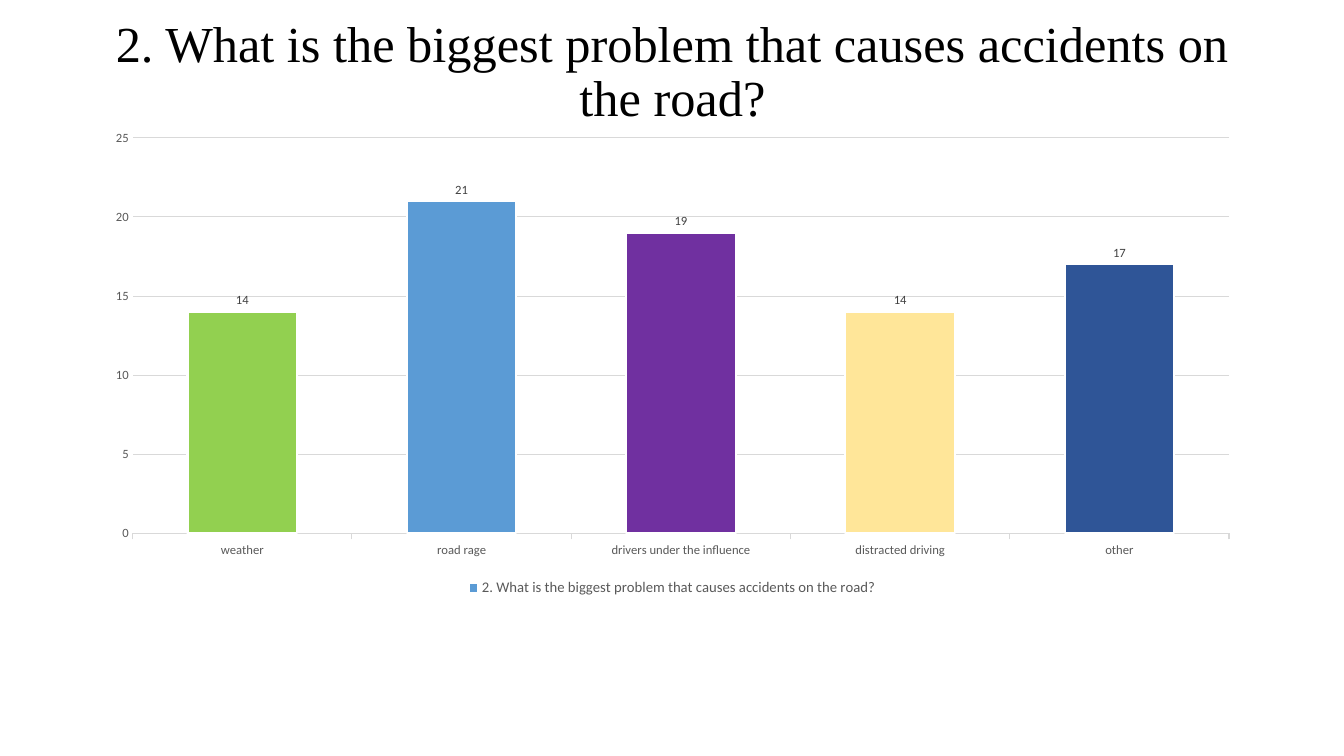
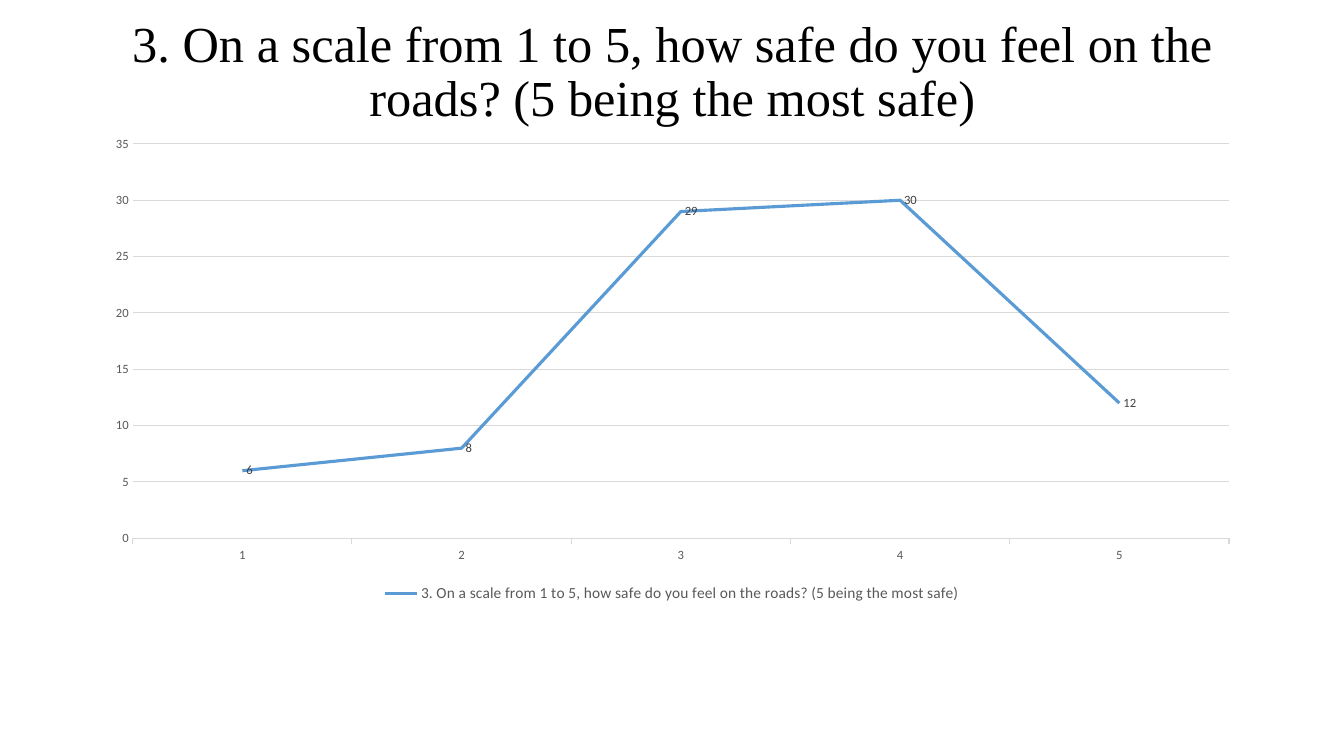
import pptx
import pptx.chart.data
import pptx.dml.color
import pptx.enum.chart
import pptx.enum.text
import pptx.util

Inches = pptx.util.Inches
Pt = pptx.util.Pt
enum = pptx.enum.chart

# Shared look
BLUE, WHITE, BLACK = "5B9BD5", "FFFFFF", "000000"
GRID, GREY, DARK = "D9D9D9", "595959", "404040"
LEFT, WIDTH = 0.92, 11.5

# Wording
CAUSE = "2. What is the biggest problem that causes accidents on the road?"
SAFE = "3. On a scale from 1 to 5, how safe do you feel on the roads? (5 being the most safe)"


def put(item, **vals):
    """Set several attributes of one object."""
    for key, val in vals.items():
        setattr(item, key, val)


def tint(text):
    return pptx.dml.color.RGBColor.from_string(text)


def style(font, size, color, name="Calibri"):
    put(font, size=Pt(size), name=name)
    font.color.rgb = tint(color)


def fill(form, color):
    form.fill.solid()
    form.fill.fore_color.rgb = tint(color)


def stroke(form, color, width):
    form.line.color.rgb = tint(color)
    form.line.width = Pt(width)


def place(left, top, width, height):
    return dict(left=Inches(left), top=Inches(top),
                width=Inches(width), height=Inches(height))


def add_page(deck, text):
    """Add a slide with its centred title."""
    page = deck.slides.add_slide(deck.slide_layouts[5])
    title = page.shapes.title
    put(title, **place(LEFT, 0, WIDTH, 1.45))
    put(title.text_frame, text=text, word_wrap=True,
        auto_size=pptx.enum.text.MSO_AUTO_SIZE.NONE,
        vertical_anchor=pptx.enum.text.MSO_ANCHOR.MIDDLE)
    para = title.text_frame.paragraphs[0]
    put(para, alignment=pptx.enum.text.PP_ALIGN.CENTER, line_spacing=0.9)
    style(para.runs[0].font, 36, BLACK, "Times New Roman")
    return page


def set_axes(chart):
    for axis in (chart.category_axis, chart.value_axis):
        style(axis.tick_labels.font, 9, GREY)
        axis.minor_tick_mark = enum.XL_TICK_MARK.NONE
    base, side = chart.category_axis, chart.value_axis
    put(base, major_tick_mark=enum.XL_TICK_MARK.OUTSIDE,
        has_major_gridlines=False)
    stroke(base.format, GRID, 0.75)
    put(side, major_tick_mark=enum.XL_TICK_MARK.NONE,
        has_major_gridlines=True)
    side.format.line.fill.background()
    stroke(side.major_gridlines.format, GRID, 0.75)


def add_chart(page, kind, top, name, cats, vals, spot, size):
    """Add a chart with one labelled series and a legend below."""
    data = pptx.chart.data.CategoryChartData()
    data.categories = cats
    data.add_series(name, vals)
    box = place(LEFT, top, WIDTH, 4.76)
    frame = page.shapes.add_chart(kind, box["left"], box["top"],
                                  box["width"], box["height"], data)
    chart = frame.chart
    put(chart, has_title=False, has_legend=True)
    style(chart.font, 10, BLACK)
    put(chart.legend, include_in_layout=False,
        position=enum.XL_LEGEND_POSITION.BOTTOM)
    style(chart.legend.font, size, GREY)
    set_axes(chart)
    plot = chart.plots[0]
    plot.vary_by_categories = False
    row = plot.series[0]
    put(row.data_labels, show_value=True, position=spot)
    style(row.data_labels.font, 9, DARK)
    return plot, row


def add_bars(page):
    cats = ["weather", "road rage", "drivers under the influence",
            "distracted driving", "other"]
    plot, row = add_chart(
        page, enum.XL_CHART_TYPE.COLUMN_CLUSTERED, 1.2, CAUSE, cats,
        [14, 21, 19, 14, 17], enum.XL_LABEL_POSITION.OUTSIDE_END, 10.5)
    plot.gap_width = 100
    hues = ["92D050", BLUE, "7030A0", "FFE699", "2F5597"]
    forms = [row.points[i].format for i in range(len(hues))]
    for form, hue in zip([row.format] + forms, [BLUE] + hues):
        fill(form, hue)
        stroke(form, WHITE, 1.5)


def add_line(page):
    plot, row = add_chart(
        page, enum.XL_CHART_TYPE.LINE, 1.26, SAFE, list("12345"),
        [6, 8, 29, 30, 12], enum.XL_LABEL_POSITION.RIGHT, 11)
    row.smooth = False
    row.marker.style = enum.XL_MARKER_STYLE.NONE
    stroke(row.format, BLUE, 2.25)


def main():
    deck = pptx.Presentation()
    put(deck, slide_width=Inches(13.33), slide_height=Inches(7.5))
    add_bars(add_page(deck, CAUSE))
    add_line(add_page(deck, SAFE))
    deck.save("out.pptx")


if __name__ == "__main__":
    main()
